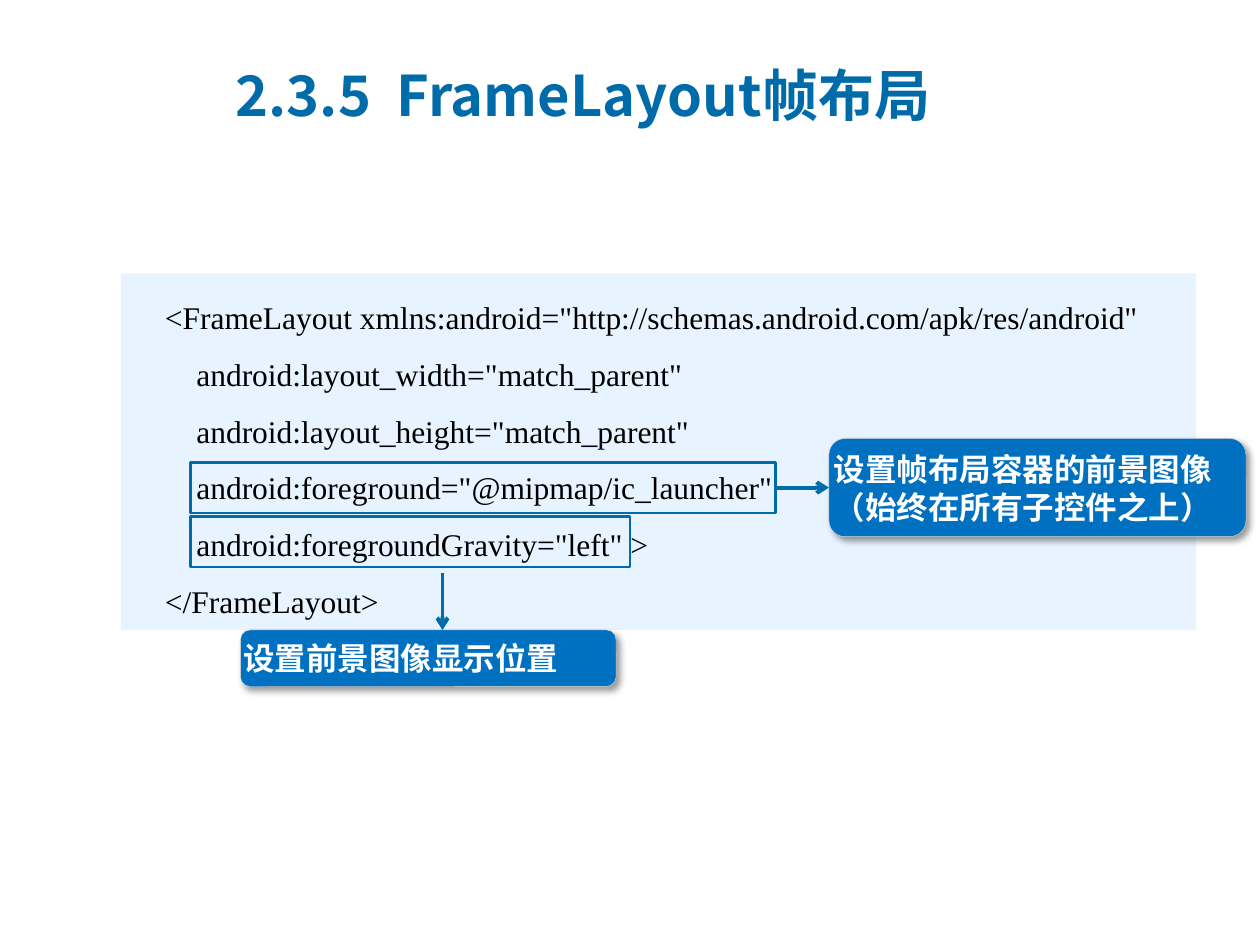
from lxml.etree import SubElement
from pptx import Presentation
from pptx.dml.color import RGBColor
from pptx.enum.shapes import MSO_CONNECTOR as Link, MSO_SHAPE as Shape
from pptx.enum.text import MSO_ANCHOR as Anchor, PP_ALIGN as Align
from pptx.oxml import parse_xml
from pptx.oxml.ns import nsdecls, qn
from pptx.util import Cm, Pt

BLUE = "006BA9"
CJK_FONT = "Noto Sans CJK SC"
CODE = [
    '    <FrameLayout xmlns:android="http://schemas.android.com/apk/res/android"',
    '        android:layout_width="match_parent"',
    '        android:layout_height="match_parent"',
    '        android:foreground="@mipmap/ic_launcher"',
    '        android:foregroundGravity="left" >',
    '    </FrameLayout>',
]
CODE_FORMAT = {"name": "Times New Roman", "size": Pt(18)}
CALLOUT_FORMAT = {"name": "Arial", "size": Pt(18), "bold": True}
TITLE_FORMAT = {"name": CJK_FONT, "size": Pt(32), "bold": True}
SHADOW = (
    f'<a:outerShdw {nsdecls("a")} blurRad="{Pt(4)}" dist="{Pt(3)}" dir="2700000" '
    'algn="tl" rotWithShape="0"><a:srgbClr val="000000"><a:alpha val="40000"/>'
    '</a:srgbClr></a:outerShdw>'
)


def colour(value):
    return RGBColor.from_string(value)


def set_attributes(target, values):
    for name, value in values.items():
        setattr(target, name, value)


def write_lines(frame, lines, font_format, text_colour, **para_format):
    for index, line in enumerate(lines):
        para = frame.paragraphs[0] if index == 0 else frame.add_paragraph()
        set_attributes(para, {"alignment": Align.LEFT, **para_format})
        span = para.add_run()
        span.text = line
        set_attributes(span.font, font_format)
        span.font.color.rgb = colour(text_colour)
        if not line.isascii():
            SubElement(span.font._element, qn("a:ea"), typeface=CJK_FONT)


def add_block(page, kind, box, fill=None, line=None, line_width=0):
    block = page.shapes.add_shape(kind, *map(Cm, box))
    block.shadow.inherit = False
    if fill:
        block.fill.solid()
        block.fill.fore_color.rgb = colour(fill)
    else:
        block.fill.background()
    if line:
        block.line.color.rgb = colour(line)
        block.line.width = Pt(line_width)
    else:
        block.line.fill.background()
    return block


def add_arrow(page, start, end):
    arrow = page.shapes.add_connector(Link.STRAIGHT, *map(Cm, start + end))
    arrow.line.color.rgb = colour(BLUE)
    arrow.line.width = Pt(2.25)
    SubElement(arrow.line._get_or_add_ln(), qn("a:tailEnd"), type="arrow")
    SubElement(arrow._element.spPr, qn("a:effectLst"))
    return arrow


def add_callout(page, box, text):
    callout = add_block(page, Shape.ROUNDED_RECTANGLE, box, "0070C0", "D7D7D7", 0.25)
    callout._element.spPr.find(qn("a:effectLst")).append(parse_xml(SHADOW))
    frame = callout.text_frame
    set_attributes(frame, {"word_wrap": True, "vertical_anchor": Anchor.MIDDLE,
                           "margin_left": 0, "margin_right": 0})
    write_lines(frame, [text], CALLOUT_FORMAT, "FFFFFF")
    return callout


def add_title(page, box, text):
    frame = page.shapes.add_textbox(*map(Cm, box)).text_frame
    set_attributes(frame, {"word_wrap": True, "vertical_anchor": Anchor.MIDDLE})
    write_lines(frame, [text], TITLE_FORMAT, BLUE)
    set_attributes(frame.paragraphs[0]._p.get_or_add_pPr(),
                   {"marL": Cm(1.57), "indent": Cm(-1.57)})


def add_code_panel(page, box):
    """Place the listing, its two outlined attributes and their callouts."""
    left, top, _, height = box
    bottom = top + height
    panel = add_block(page, Shape.RECTANGLE, box, "E7F4FF")
    frame = panel.text_frame
    set_attributes(frame, {"word_wrap": True, "vertical_anchor": Anchor.TOP})
    write_lines(frame, CODE, CODE_FORMAT, "000000", line_spacing=1.5)

    outlines = [
        add_block(page, Shape.RECTANGLE, (left + 1.4, top + down, width, 1.02),
                  line=BLUE, line_width=1.5)
        for down, width in ((3.81, 11.79), (4.9, 8.86))
    ]
    image_note = add_callout(page, (left + 14.27, top + 3.33, 8.41, 1.98),
                             "设置帧布局容器的前景图像（始终在所有子控件之上）")
    add_callout(page, (left + 2.41, bottom, 7.57, 1.14), "设置前景图像显示位置")

    across = add_arrow(page, (left + 13.19, top + 4.32), (left + 14.27, top + 4.32))
    across.begin_connect(outlines[0], 3)
    across.end_connect(image_note, 1)
    add_arrow(page, (left + 6.48, bottom - 1.14), (left + 6.48, bottom))


def main():
    deck = Presentation()
    set_attributes(deck, {"slide_width": Cm(25.4), "slide_height": Cm(19.05)})
    page = deck.slides.add_slide(deck.slide_layouts[6])
    add_code_panel(page, (2.44, 5.51, 21.67, 7.19))
    add_title(page, (4.5, 1.12, 19.61, 1.55), "2.3.5  FrameLayout帧布局")
    deck.save("out.pptx")


if __name__ == "__main__":
    main()
